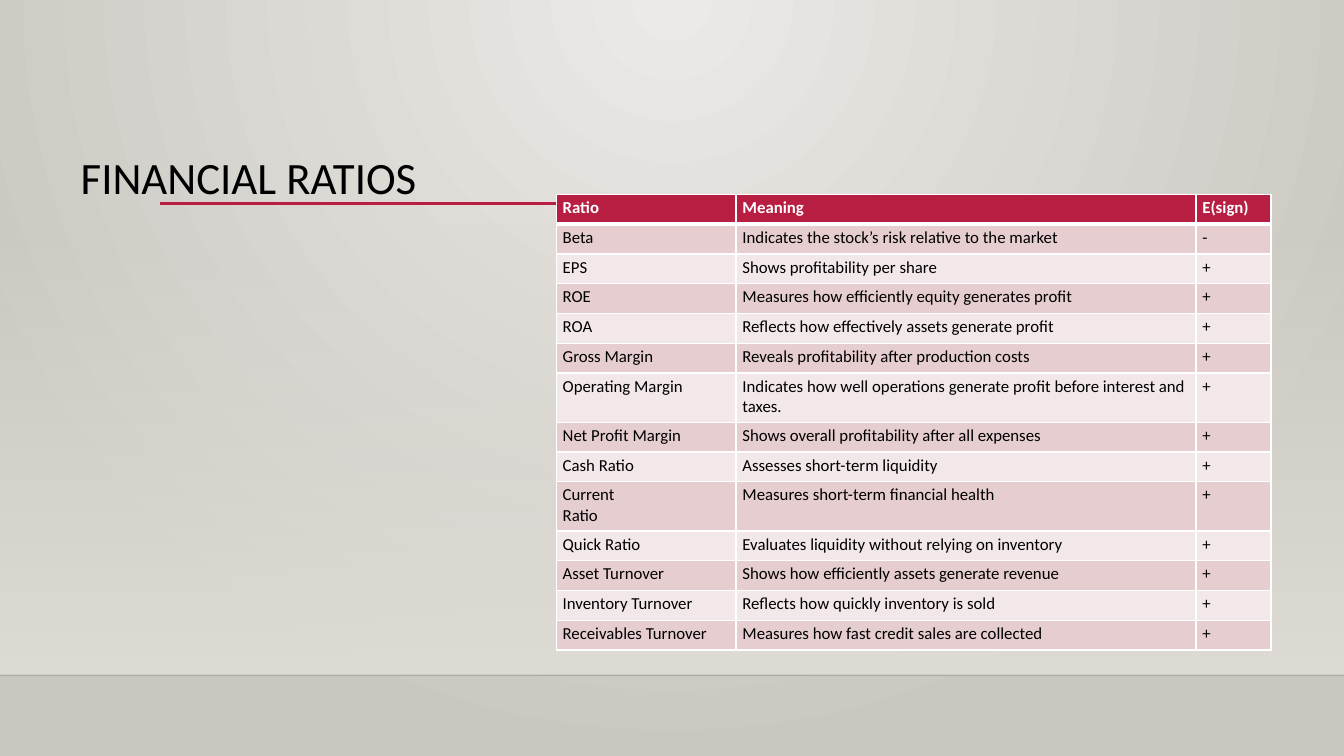
from typing import NamedTuple

from lxml import etree
from pptx import Presentation
from pptx.dml.color import RGBColor
from pptx.enum.shapes import MSO_CONNECTOR, MSO_SHAPE
from pptx.enum.text import MSO_ANCHOR, MSO_AUTO_SIZE, PP_ALIGN
from pptx.oxml.ns import qn
from pptx.util import Cm, Pt

STRAIGHT = MSO_CONNECTOR.STRAIGHT
RECTANGLE = MSO_SHAPE.RECTANGLE
TOP = MSO_ANCHOR.TOP
LEFT = PP_ALIGN.LEFT
NO_AUTOFIT = MSO_AUTO_SIZE.NONE

BLACK = RGBColor(0x00, 0x00, 0x00)
NEAR_BLACK = RGBColor(0x00, 0x00, 0x01)
WHITE = RGBColor(0xFF, 0xFF, 0xFF)
CRIMSON = RGBColor(0xB7, 0x1E, 0x42)
BAND_DARK = RGBColor(0xE6, 0xCD, 0xCF)
BAND_LIGHT = RGBColor(0xF3, 0xE8, 0xE9)
BACK_LIGHT = RGBColor(0xEC, 0xEA, 0xE7)
BACK_DARK = RGBColor(0xCA, 0xC7, 0xC1)
WALL = RGBColor(0xDF, 0xDB, 0xD5)

FONT = "Calibri"
WIDTH, HEIGHT = 33.87, 19.05
FLOOR_Y = 17.02
COLUMN_WIDTHS = (4.53, 11.59, 1.89)
ROW_HEIGHT, TALL_ROW_HEIGHT = 0.75, 1.24


class Ratio(NamedTuple):
    name: str
    meaning: str
    sign: str = "+"
    height: float = ROW_HEIGHT


class Rule(NamedTuple):
    left: float
    right: float
    y: float
    color: RGBColor
    width: float
    opacity: int = 100


RATIOS = (
    Ratio("Ratio", "Meaning", "E(sign)"),
    Ratio("Beta", "Indicates the stock’s risk relative to the market", "-"),
    Ratio("EPS", "Shows profitability per share"),
    Ratio("ROE", "Measures how efficiently equity generates profit"),
    Ratio("ROA", "Reflects how effectively assets generate profit"),
    Ratio("Gross Margin", "Reveals profitability after production costs"),
    Ratio("Operating Margin",
          "Indicates how well operations generate profit before interest and taxes.",
          height=TALL_ROW_HEIGHT),
    Ratio("Net Profit Margin", "Shows overall profitability after all expenses"),
    Ratio("Cash Ratio", "Assesses short-term liquidity"),
    Ratio("Current\nRatio", "Measures short-term financial health",
          height=TALL_ROW_HEIGHT),
    Ratio("Quick Ratio", "Evaluates liquidity without relying on inventory"),
    Ratio("Asset Turnover", "Shows how efficiently assets generate revenue"),
    Ratio("Inventory Turnover", "Reflects how quickly inventory is sold"),
    Ratio("Receivables Turnover", "Measures how fast credit sales are collected"),
)

RULES = (
    Rule(0, WIDTH, FLOOR_Y, NEAR_BLACK, 1, 20),
    Rule(4.04, 30.73, 5.13, CRIMSON, 2.5),
)


def set_gradient(fill, start: RGBColor, end: RGBColor) -> None:
    """Fill from start at the top to end at the bottom."""
    fill.gradient()
    fill.gradient_angle = 270
    for stop, position, color in zip(fill.gradient_stops, (0, 1), (start, end)):
        stop.position = position
        stop.color.rgb = color


def set_opacity(color_element, percent: int) -> None:
    etree.SubElement(color_element, qn("a:alpha"), val=str(percent * 1000))


def paint_background(s) -> None:
    """Give the slide a circular gradient centred on its top edge."""
    set_gradient(s.background.fill, BACK_LIGHT, BACK_DARK)
    linear = next(s.element.iter(qn("a:lin")))
    circle = etree.Element(qn("a:path"), path="circle")
    etree.SubElement(circle, qn("a:fillToRect"), l="43000", r="43000", b="100000")
    linear.getparent().replace(linear, circle)


def add_wall(s) -> None:
    top = 5.61
    sp = s.shapes.add_shape(RECTANGLE, 0, Cm(top), Cm(WIDTH), Cm(FLOOR_Y - top))
    sp.shadow.inherit = False
    sp.line.fill.background()
    set_gradient(sp.fill, WALL, WALL)
    set_opacity(next(sp.element.spPr.iter(qn("a:srgbClr"))), 0)


def add_rule(s, rule: Rule) -> None:
    line = s.shapes.add_connector(
        STRAIGHT, Cm(rule.left), Cm(rule.y), Cm(rule.right), Cm(rule.y))
    line.line.color.rgb = rule.color
    line.line.width = Pt(rule.width)
    properties = line.element.spPr
    if rule.opacity < 100:
        set_opacity(next(properties.iter(qn("a:srgbClr"))), rule.opacity)
    etree.SubElement(properties, qn("a:effectLst"))


def format_title(s) -> None:
    """Place the title in front of the backdrop."""
    title = s.shapes.title
    title.left, title.top = Cm(1.78), Cm(3.81)
    title.width, title.height = Cm(10.21), Cm(10.9)
    tf = title.text_frame
    tf.text = "FINANCIAL RATIOS"
    tf.word_wrap = True
    tf.auto_size = NO_AUTOFIT
    tf.vertical_anchor = TOP
    p = tf.paragraphs[0]
    p.alignment = LEFT
    p.line_spacing = 0.9
    p.font.name, p.font.size, p.font.color.rgb = FONT, Pt(32), BLACK
    title.element.getparent().append(title.element)


def set_borders(cell, is_header: bool) -> None:
    properties = cell._tc.get_or_add_tcPr()
    for side in "LRTB":
        width = 3 if is_header and side == "B" else 1
        border = etree.SubElement(properties, qn(f"a:ln{side}"), w=str(Pt(width)))
        fill = etree.SubElement(border, qn("a:solidFill"))
        etree.SubElement(fill, qn("a:srgbClr"), val=str(WHITE))


def format_cell(cell, text: str, row: int) -> None:
    is_header = row == 0
    cell.text = text
    cell.margin_left = cell.margin_right = Cm(0.16)
    cell.margin_top = cell.margin_bottom = Cm(0.08)
    cell.vertical_anchor = TOP
    set_borders(cell, is_header)
    cell.fill.solid()
    band = BAND_DARK if row % 2 else BAND_LIGHT
    cell.fill.fore_color.rgb = CRIMSON if is_header else band
    for p in cell.text_frame.paragraphs:
        p.font.name, p.font.size, p.font.bold = FONT, Pt(12), is_header
        p.font.color.rgb = WHITE if is_header else BLACK


def add_ratio_table(s) -> None:
    height = sum(ratio.height for ratio in RATIOS)
    table = s.shapes.add_table(
        len(RATIOS), len(COLUMN_WIDTHS), Cm(14.02), Cm(4.9),
        Cm(sum(COLUMN_WIDTHS)), Cm(height)).table
    for column, width in zip(table.columns, COLUMN_WIDTHS):
        column.width = Cm(width)
    for i, ratio in enumerate(RATIOS):
        table.rows[i].height = Cm(ratio.height)
        for j, text in enumerate((ratio.name, ratio.meaning, ratio.sign)):
            format_cell(table.cell(i, j), text, i)


def main() -> None:
    prs = Presentation()
    prs.slide_width, prs.slide_height = Cm(WIDTH), Cm(HEIGHT)
    s = prs.slides.add_slide(prs.slide_layouts.get_by_name("Title Only"))
    paint_background(s)
    add_wall(s)
    for rule in RULES:
        add_rule(s, rule)
    format_title(s)
    add_ratio_table(s)
    prs.save("out.pptx")


if __name__ == "__main__":
    main()
